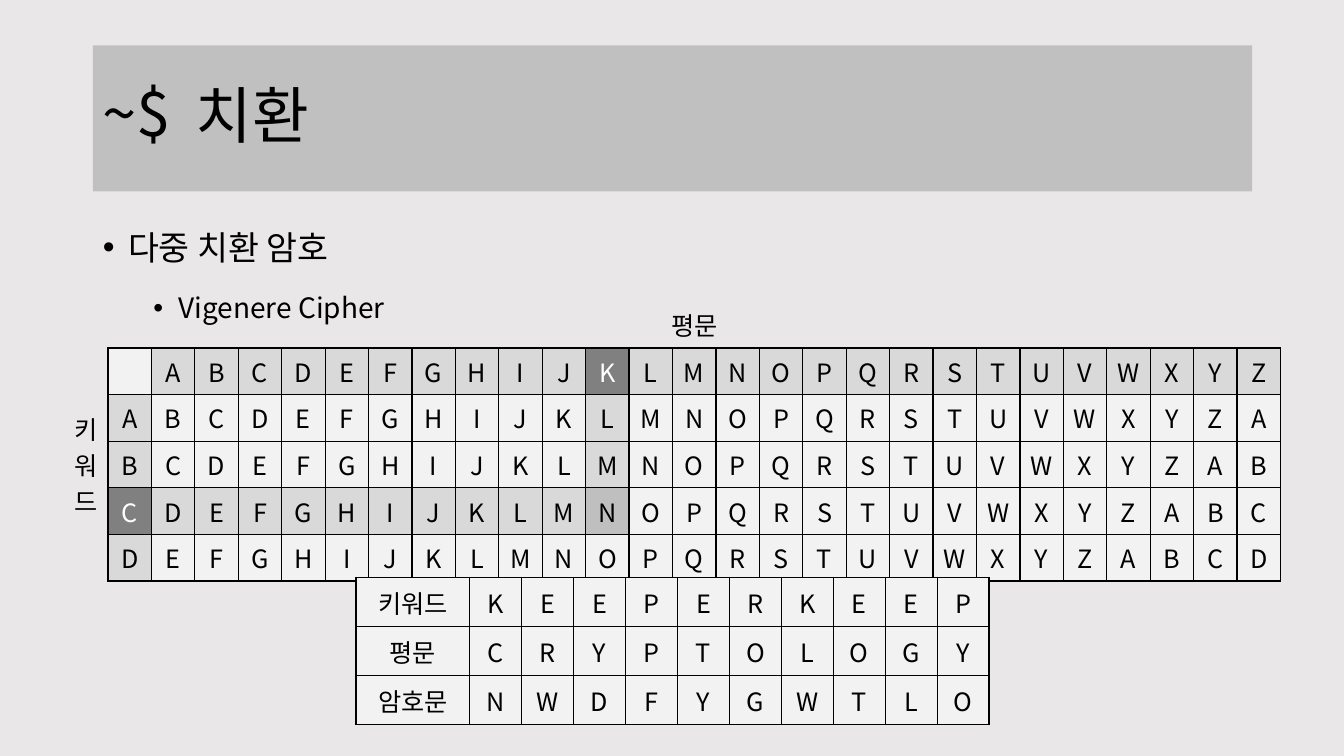
from lxml import etree
from pptx import Presentation
from pptx.dml.color import RGBColor
from pptx.enum.text import MSO_ANCHOR, MSO_AUTO_SIZE, PP_ALIGN
from pptx.oxml.ns import qn
from pptx.util import Inches, Pt

MIDDLE, CENTER, LEFT = MSO_ANCHOR.MIDDLE, PP_ALIGN.CENTER, PP_ALIGN.LEFT

# Content
PROMPT = "~$"
TITLE = "치환"
# text, size, left margin, space before
BULLETS = [("다중 치환 암호", 24, 0.25, 10), ("Vigenere Cipher", 20, 0.75, 5)]
PLAIN, KEYWORD = "평문", "키워드"
ABC = "ABCDEFGHIJKLMNOPQRSTUVWXYZ"
KEYS = "ABCD"
PICKED_KEY, PICKED_PLAIN = "C", "K"
EXAMPLE = [("키워드", "KEEPERKEEP"), ("평문", "CRYPTOLOGY"), ("암호문", "NWDFYGWTLO")]

# Style
FONT = "Noto Sans CJK KR"
COLORS = {"back": "E9E7E7", "ink": "000000", "white": "FFFFFF", "cell": "F2F2F2",
          "trail": "D9D9D9", "hit": "BFBFBF", "picked": "808080"}
NO_STYLE = "{2D5ABB26-0587-4C30-8999-92F81FD0307C}"
EDGES = {"L": "a:lnL", "R": "a:lnR", "T": "a:lnT", "B": "a:lnB"}

# Layout in inches
MARGIN, CONTENT_W = 0.92, 11.5
SQUARE_X, SQUARE_Y, SQUARE_W, SQUARE_ROW = 0.64, 2.99, 12.06, 0.43
EXAMPLE_X, EXAMPLE_Y, LABEL_W, LETTER_W, EXAMPLE_ROW = 3.53, 5.73, 1.13, 0.515, 0.486


def rgb(name):
    return RGBColor.from_string(COLORS[name])


def add_run(p, text, size, color="ink"):
    r = p.add_run()
    r.text = text
    r.font.size = Pt(size)
    r.font.name = FONT
    r.font.color.rgb = rgb(color)
    ea = etree.SubElement(r.font._element, qn("a:ea"))
    ea.set("typeface", FONT)


def place(sp, x, y, w, h):
    sp.left, sp.top, sp.width, sp.height = (Inches(v) for v in (x, y, w, h))


def add_table(slide, x, y, widths, row_h, rows):
    frame = slide.shapes.add_table(rows, len(widths), Inches(x), Inches(y),
                                   Inches(sum(widths)), Inches(row_h * rows))
    table = frame.table
    table.first_row = table.horz_banding = False
    frame._element.find(".//" + qn("a:tableStyleId")).text = NO_STYLE
    for col, w in zip(table.columns, widths):
        col.width = Inches(w)
    for row in table.rows:
        row.height = Inches(row_h)
    return table


def fill_cell(cell, text="", fill=None, color="ink", edges="LRTB"):
    tcPr = cell._tc.get_or_add_tcPr()
    for edge in edges:
        ln = etree.SubElement(tcPr, qn(EDGES[edge]), w=str(Pt(1)))
        solid = etree.SubElement(ln, qn("a:solidFill"))
        etree.SubElement(solid, qn("a:srgbClr"), val=COLORS["ink"])
    if fill:
        cell.fill.solid()
        cell.fill.fore_color.rgb = rgb(fill)
    else:
        cell.fill.background()
    cell.vertical_anchor = MIDDLE
    if text:
        p = cell.text_frame.paragraphs[0]
        p.alignment = CENTER
        add_run(p, text, 18, color)


def square_fill(key, plain):
    """Shade the path from both headings to the letter where they meet."""
    row, col = KEYS.index(key), ABC.index(plain)
    hit_row, hit_col = KEYS.index(PICKED_KEY), ABC.index(PICKED_PLAIN)
    if (row, col) == (hit_row, hit_col):
        return "hit"
    on_row = row == hit_row and col < hit_col
    on_col = col == hit_col and row < hit_row
    return "trail" if on_row or on_col else "cell"


def heading(cell, letter, picked):
    if letter == picked:
        fill_cell(cell, letter, "picked", "white")
    else:
        fill_cell(cell, letter, "trail")


prs = Presentation()
prs.slide_width, prs.slide_height = Inches(13.33), Inches(7.5)
slide = prs.slides.add_slide(prs.slide_layouts[1])
slide.background.fill.solid()
slide.background.fill.fore_color.rgb = rgb("back")

# Prompt behind the title band
prompt = slide.shapes.add_textbox(Inches(MARGIN), Inches(0.69), Inches(2.1), Inches(0.84))
prompt.text_frame.word_wrap = True
add_run(prompt.text_frame.paragraphs[0], PROMPT, 44)
slide.shapes._spTree.insert(2, prompt._element)

# Title on a translucent band
title = slide.shapes.title
place(title, MARGIN, 0.45, CONTENT_W, 1.45)
title.fill.solid()
title.fill.fore_color.rgb = rgb("ink")
clr = title._element.spPr.find(".//" + qn("a:srgbClr"))
etree.SubElement(clr, qn("a:alpha"), val="17000")
tf = title.text_frame
tf.auto_size = MSO_AUTO_SIZE.NONE
tf.vertical_anchor = MIDDLE
tf.margin_left = Inches(1.02)
p = tf.paragraphs[0]
p.alignment, p.line_spacing = LEFT, 0.9
add_run(p, TITLE, 44)

# Bullets
body = slide.placeholders[1]
place(body, MARGIN, 2, CONTENT_W, 4.76)
tf = body.text_frame
tf.auto_size = MSO_AUTO_SIZE.NONE
for level, (text, size, indent, before) in enumerate(BULLETS):
    p = tf.add_paragraph() if level else tf.paragraphs[0]
    p.level, p.line_spacing, p.space_before = level, 1.5, Pt(before)
    pPr = p._p.get_or_add_pPr()
    pPr.set("marL", str(Inches(indent)))
    pPr.set("indent", str(Inches(-0.25)))
    etree.SubElement(pPr, qn("a:buFont"), typeface="Arial")
    etree.SubElement(pPr, qn("a:buChar"), char="•")
    add_run(p, text, size)

# Vigenere square: a label row and column, then a heading row and column
cols, rows = len(ABC) + 2, len(KEYS) + 2
square = add_table(slide, SQUARE_X, SQUARE_Y, [SQUARE_W / cols] * cols, SQUARE_ROW, rows)
square.cell(0, 1).merge(square.cell(0, cols - 1))
square.cell(1, 0).merge(square.cell(rows - 1, 0))
fill_cell(square.cell(0, 0), edges="")
fill_cell(square.cell(0, 1), PLAIN, edges="B")
fill_cell(square.cell(1, 0), KEYWORD, edges="R")
fill_cell(square.cell(1, 1), fill="cell")
for j, plain in enumerate(ABC):
    heading(square.cell(1, j + 2), plain, PICKED_PLAIN)
for i, key in enumerate(KEYS):
    heading(square.cell(i + 2, 1), key, PICKED_KEY)
    for j, plain in enumerate(ABC):
        cipher = ABC[(i + j + 1) % len(ABC)]
        fill_cell(square.cell(i + 2, j + 2), cipher, square_fill(key, plain))

# Worked example
widths = [LABEL_W] + [LETTER_W] * len(EXAMPLE[0][1])
example = add_table(slide, EXAMPLE_X, EXAMPLE_Y, widths, EXAMPLE_ROW, len(EXAMPLE))
for i, (label, letters) in enumerate(EXAMPLE):
    for j, text in enumerate([label, *letters]):
        fill_cell(example.cell(i, j), text, "cell")

prs.save("out.pptx")
